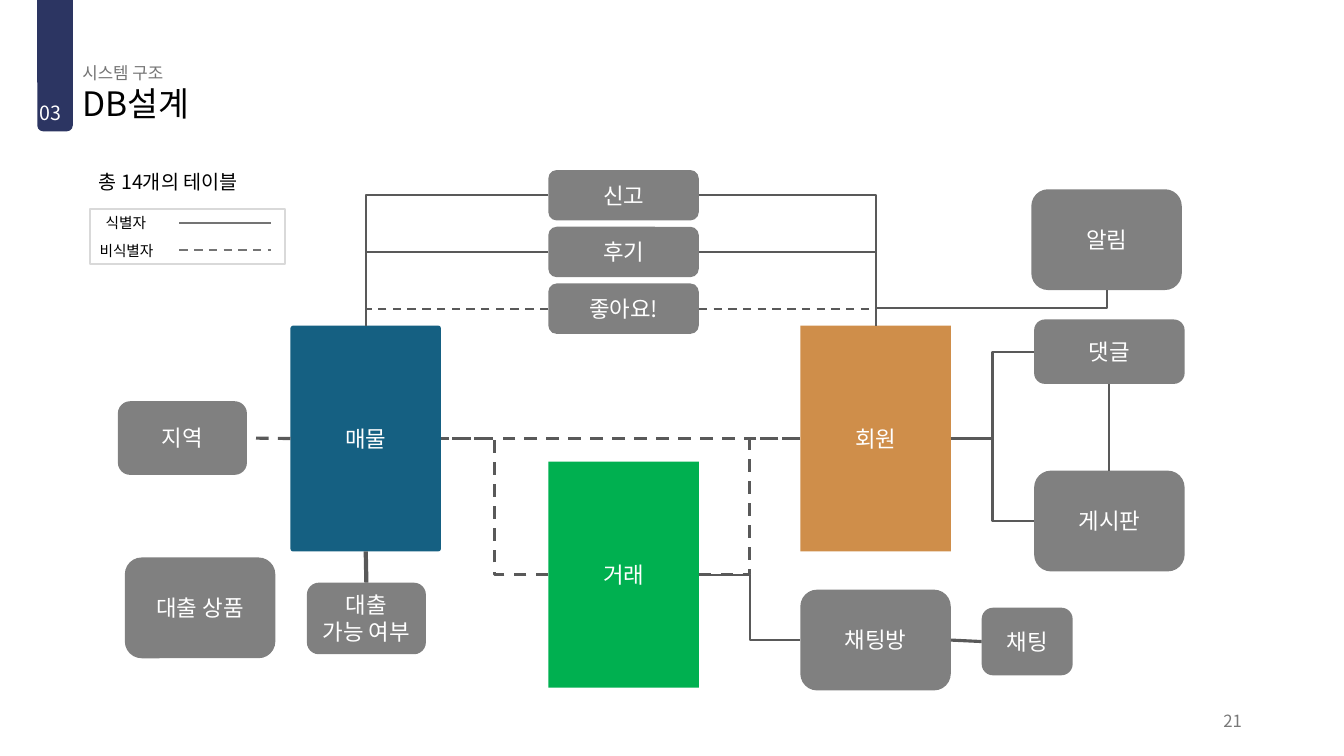
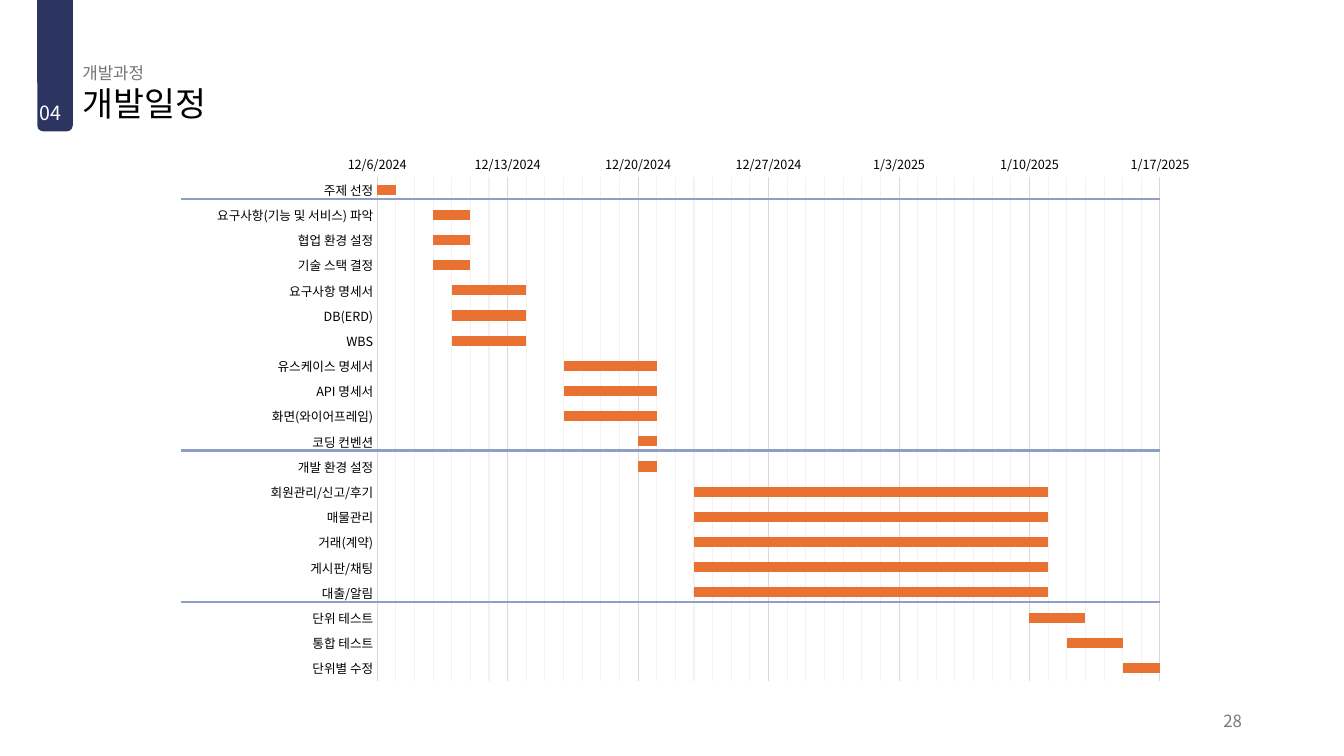
import pptx
import pptx.chart.data
import pptx.dml.color
import pptx.enum.chart
import pptx.enum.dml
import pptx.enum.shapes
import pptx.enum.text
import pptx.oxml
import pptx.oxml.ns
import pptx.util

Pt = pptx.util.Pt
MSO_SHAPE = pptx.enum.shapes.MSO_SHAPE
MSO_CONNECTOR = pptx.enum.shapes.MSO_CONNECTOR
MSO_ANCHOR = pptx.enum.text.MSO_ANCHOR
PP_ALIGN = pptx.enum.text.PP_ALIGN
XL = pptx.enum.chart
qn = pptx.oxml.ns.qn

FONT = "Noto Sans CJK KR"
COLORS = {
    "navy": "2C3562", "black": "000000", "white": "FFFFFF", "muted": "747474",
    "page": "797979", "node": "808080", "link": "595959", "listing": "156082",
    "deal": "00B050", "member": "CF8E4A", "border": "D9D9D9", "minor": "F2F2F2",
    "bar": "E97132", "divider": "8F9EC4",
}
TOP, LEFT, BOTTOM, RIGHT = range(4)

WIDE, TALL = 107.5, 161.3
NODES = {
    "매물": (123.3, 111.1, WIDE, TALL, "listing", 0.018),
    "거래": (307.5, 208.3, WIDE, TALL, "deal", 0),
    "회원": (487.5, 111.1, WIDE, TALL, "member", 0),
    "지역": (0, 165.1, 92.2, 52.6),
    "대출\v가능 여부": (135, 294.7, 85, 51.1),
    "대출 상품": (5, 276.7, WIDE, 72),
    "알림": (652.5, 13.7, WIDE, 72),
    "채팅방": (487.5, 299.7, WIDE, 72),
    "채팅": (617, 312.6, 65, 48.3),
    "게시판": (654.5, 214.7, WIDE, 72),
    "댓글": (654.5, 106.7, WIDE, 46),
}
REACTIONS = {"신고": False, "후기": False, "좋아요!": True}
LINKS = [
    ("매물", LEFT, "지역", RIGHT, "straight", 2.25, True),
    ("매물", BOTTOM, "대출\v가능 여부", TOP, "straight", 3, False),
    ("회원", LEFT, "매물", RIGHT, "straight", 2.25, True),
    ("채팅", LEFT, "채팅방", RIGHT, "straight", 2.25, False),
    ("댓글", BOTTOM, "게시판", TOP, "straight", 1.5, False),
    ("회원", TOP, "알림", BOTTOM, "rise", 1.5, False),
    ("회원", RIGHT, "댓글", LEFT, "step", 1.5, False),
    ("회원", RIGHT, "게시판", LEFT, "step", 1.5, False),
    ("거래", RIGHT, "채팅방", LEFT, "step", 1.5, False),
    ("거래", RIGHT, "회원", LEFT, "step", 2.25, True),
    ("거래", LEFT, "매물", RIGHT, "step", 2.25, True),
]

FIRST_DAY, LAST_DAY = 45632, 45674
TASKS = [
    ("주제 선정", 0, 1),
    ("요구사항(기능 및 서비스) 파악", 3, 2),
    ("협업 환경 설정", 3, 2),
    ("기술 스택 결정", 3, 2),
    ("요구사항 명세서", 4, 4),
    ("DB(ERD)", 4, 4),
    ("WBS", 4, 4),
    ("유스케이스 명세서", 10, 5),
    ("API 명세서", 10, 5),
    ("화면(와이어프레임)", 10, 5),
    ("코딩 컨벤션", 14, 1),
    ("개발 환경 설정", 14, 1),
    ("회원관리/신고/후기", 17, 19),
    ("매물관리", 17, 19),
    ("거래(계약)", 17, 19),
    ("게시판/채팅", 17, 19),
    ("대출/알림", 17, 19),
    ("단위 테스트", 35, 3),
    ("통합 테스트", 37, 3),
    ("단위별 수정", 40, 17),
]
PHASE_ENDS = (1, 11, 17)
PLOT = {"x": 0.19, "y": 0.06, "w": 0.76, "h": 0.92}


def rgb(name):
    """Return the named colour."""
    return pptx.dml.color.RGBColor.from_string(COLORS[name])


def style_font(font, size, color):
    """Set size, colour and the Latin and East Asian typeface."""
    font.size = Pt(size)
    font.color.rgb = rgb(color)
    font.name = FONT
    east_asian = font._rPr.makeelement(qn("a:ea"), {"typeface": FONT})
    font._rPr.find(qn("a:latin")).addnext(east_asian)


def write(shape, text, size, color, align=PP_ALIGN.LEFT, anchor=MSO_ANCHOR.MIDDLE):
    """Fill a shape with one styled paragraph."""
    frame = shape.text_frame
    frame.text = text
    frame.word_wrap = True
    frame.vertical_anchor = anchor
    paragraph = frame.paragraphs[0]
    paragraph.alignment = align
    for run in paragraph.runs:
        style_font(run.font, size, color)
    return frame


def add_text(slide, box, text, size, color, **options):
    """Add a text box at a box given in points."""
    shape = slide.shapes.add_textbox(*map(Pt, box))
    return write(shape, text, size, color, **options)


def add_box(slide, kind, box, fill=None, line=None):
    """Add a flat preset shape with an optional fill or outline."""
    shape = slide.shapes.add_shape(kind, *map(Pt, box))
    shape.shadow.inherit = False
    if fill:
        shape.fill.solid()
        shape.fill.fore_color.rgb = rgb(fill)
    else:
        shape.fill.background()
    if line:
        shape.line.color.rgb = rgb(line)
        shape.line.width = Pt(1.5)
    else:
        shape.line.fill.background()
    return shape


def style_connector(connector, color, width=1.5, dashed=False):
    """Set a connector's line and clear its shadow."""
    connector.line.color.rgb = rgb(color)
    connector.line.width = Pt(width)
    if dashed:
        connector.line.dash_style = pptx.enum.dml.MSO_LINE.DASH
    properties = connector._element.spPr
    properties.append(properties.makeelement(qn("a:effectLst"), {}))


def add_rule(slide, left, right, y, color, dashed=False):
    """Add a horizontal line."""
    connector = slide.shapes.add_connector(
        MSO_CONNECTOR.STRAIGHT, Pt(left), Pt(y), Pt(right), Pt(y))
    style_connector(connector, color, dashed=dashed)


def turn_upright(connector):
    """Turn a rising elbow so that it leaves and arrives vertically."""
    left, top, width, height = (
        connector.left, connector.top, connector.width, connector.height)
    connector.left = left + (width - height) // 2
    connector.top = top + (height - width) // 2
    connector.width, connector.height = height, width
    transform = connector._element.spPr.find(qn("a:xfrm"))
    transform.attrib.pop("flipV", None)
    transform.set("rot", "16200000")


def link(slide, start, start_site, end, end_site, route, width, dashed):
    """Join two nodes by a straight, stepped, cornered or rising connector."""
    kind = MSO_CONNECTOR.STRAIGHT if route == "straight" else MSO_CONNECTOR.ELBOW
    connector = slide.shapes.add_connector(kind, 0, 0, 0, 0)
    connector.begin_connect(start, start_site)
    connector.end_connect(end, end_site)
    if route == "corner":
        geometry = connector._element.spPr.find(qn("a:prstGeom"))
        geometry.set("prst", "bentConnector2")
    elif route == "rise":
        turn_upright(connector)
    style_connector(connector, "link", width, dashed)


def add_page(presentation, number, section, title, page):
    """Add a slide with its section tab, headings and page number."""
    slide = presentation.slides.add_slide(presentation.slide_layouts[6])
    tab = add_box(slide, MSO_SHAPE.ROUND_2_SAME_RECTANGLE, (26.6, 0, 25.4, 93.8), "navy")
    tab.rotation = 180
    headings = [
        ((51.8, 62.6, 828, 37.4), title, 24, "black", 7.2, MSO_ANCHOR.TOP),
        ((51.8, 43.9, 828, 17.3), section, 12, "muted", 7.2, MSO_ANCHOR.MIDDLE),
        ((22.5, 72.8, 36, 17.3), number, 14, "white", 5.8, MSO_ANCHOR.MIDDLE),
    ]
    for box, text, size, color, inset, anchor in headings:
        frame = add_text(slide, box, text, size, color, anchor=anchor)
        frame.margin_left = Pt(inset)
        frame.margin_top = frame.margin_bottom = 0
        frame.paragraphs[0].line_spacing = 0.9
    add_text(slide, (678.2, 500.4, 216, 28.8), page, 12, "page", align=PP_ALIGN.RIGHT)
    return slide


def add_node(slide, name, box, fill="node", corner=None):
    """Add one labelled entity."""
    shape = add_box(slide, MSO_SHAPE.ROUNDED_RECTANGLE, box, fill)
    if corner is not None:
        shape.adjustments[0] = corner
    write(shape, name, 16, "white", PP_ALIGN.CENTER)
    return shape


def add_diagram(slide, left, top):
    """Draw the entities and the links between them."""
    nodes = {}
    for name, (x, y, width, height, *look) in NODES.items():
        nodes[name] = add_node(slide, name, (left + x, top + y, width, height), *look)
    for index, (name, dashed) in enumerate(REACTIONS.items()):
        box = (left + 307.5, top + 40.5 * index, WIDE, 36)
        nodes[name] = add_node(slide, name, box)
        for side, table in ((LEFT, "매물"), (RIGHT, "회원")):
            link(slide, nodes[name], side, nodes[table], TOP, "corner", 1.5, dashed)
    for start, start_site, end, end_site, *look in LINKS:
        link(slide, nodes[start], start_site, nodes[end], end_site, *look)


def add_legend(slide, left, top):
    """Draw the line legend under the table count."""
    add_text(slide, (left - 0.7, top - 31.7, 144, 24.5), "총 14개의 테이블", 14, "black")
    add_box(slide, MSO_SHAPE.RECTANGLE, (left, top, 139.7, 39.6), line="border")
    entries = [("식별자", 4.3, False), ("비식별자", 0, True)]
    for index, (label, indent, dashed) in enumerate(entries):
        y = top + 19.4 * index
        add_text(slide, (left + indent, y, 60, 20.5), label, 10.5, "black")
        add_rule(slide, left + 64.1, left + 129.6, y + 10.1, "muted", dashed)


def set_plot_area(chart):
    """Fix the inner plot area to the shares in PLOT."""
    area = chart._chartSpace.chart.plotArea
    for layout in area.findall(qn("c:layout")):
        area.remove(layout)
    shares = "".join(f'<c:{key} val="{value}"/>' for key, value in PLOT.items())
    namespace = pptx.oxml.ns.nsdecls("c")
    area.insert(0, pptx.oxml.parse_xml(
        f'<c:layout {namespace}><c:manualLayout><c:layoutTarget val="inner"/>'
        f'<c:xMode val="edge"/><c:yMode val="edge"/>{shares}'
        '</c:manualLayout></c:layout>'))


def color_minor_gridlines(axis):
    """Give the minor gridlines a thin pale line."""
    namespaces = pptx.oxml.ns.nsdecls("c", "a")
    axis._element.find(qn("c:minorGridlines")).append(pptx.oxml.parse_xml(
        f'<c:spPr {namespaces}><a:ln w="{Pt(0.75)}"><a:solidFill>'
        f'<a:srgbClr val="{COLORS["minor"]}"/></a:solidFill></a:ln></c:spPr>'))


def style_axes(chart):
    """Format the task axis and the date axis."""
    tasks, dates = chart.category_axis, chart.value_axis
    for axis in (tasks, dates):
        axis.major_tick_mark = axis.minor_tick_mark = XL.XL_TICK_MARK.NONE
        style_font(axis.tick_labels.font, 9, "black")
    tasks.reverse_order = True
    dates.minimum_scale, dates.maximum_scale = FIRST_DAY, LAST_DAY
    dates.major_unit, dates.minor_unit = 7, 1
    dates.has_major_gridlines = dates.has_minor_gridlines = True
    dates.tick_labels.number_format = "m/d/yyyy"
    dates.tick_labels.number_format_is_linked = False
    dates.format.line.fill.background()
    for line in (tasks.format.line, dates.major_gridlines.format.line):
        line.color.rgb = rgb("border")
        line.width = Pt(0.75)
    color_minor_gridlines(dates)


def add_schedule(slide, left, top, width, height):
    """Draw the schedule chart and the lines between its phases."""
    data = pptx.chart.data.CategoryChartData()
    data.categories = [name for name, _, _ in TASKS]
    data.add_series("Series 1", [FIRST_DAY + start for _, start, _ in TASKS])
    data.add_series("Series 2", [days for _, _, days in TASKS])
    chart = slide.shapes.add_chart(
        XL.XL_CHART_TYPE.BAR_STACKED, *map(Pt, (left, top, width, height)), data).chart
    chart.has_legend = chart.has_title = False
    style_font(chart.font, 10, "black")
    plot = chart.plots[0]
    plot.gap_width, plot.overlap, plot.vary_by_categories = 150, 100, False
    offset, duration = plot.series
    offset.format.fill.background()
    duration.format.fill.solid()
    duration.format.fill.fore_color.rgb = rgb("bar")
    style_axes(chart)
    set_plot_area(chart)
    row = height * PLOT["h"] / len(TASKS)
    for count in PHASE_ENDS:
        y = top + height * PLOT["y"] + row * count - 2.5
        add_rule(slide, left, left + width * (PLOT["x"] + PLOT["w"]), y, "divider")


def main():
    """Build and save the presentation."""
    presentation = pptx.Presentation()
    presentation.slide_width, presentation.slide_height = Pt(960), Pt(540)
    design = add_page(presentation, "03", "시스템 구조", "DB설계", "21")
    add_diagram(design, 84.2, 121.5)
    add_legend(design, 64.1, 149)
    schedule = add_page(presentation, "04", "개발과정", "개발일정", "28")
    add_schedule(schedule, 129.6, 103, 735.8, 391)
    presentation.save("out.pptx")


if __name__ == "__main__":
    main()
